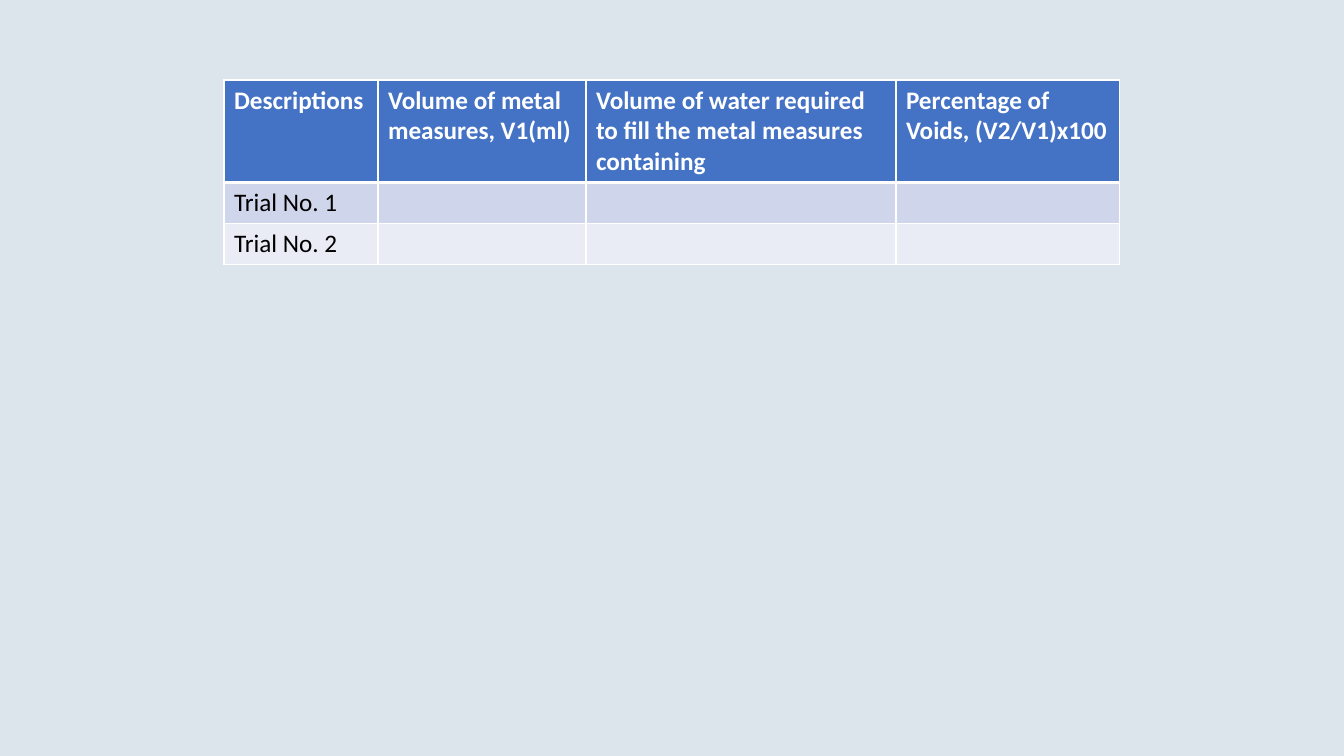
from lxml import etree
from pptx import Presentation
from pptx.dml.color import RGBColor
from pptx.oxml.ns import qn
from pptx.util import Pt

SCALE = 914400 / 100.8
FONT = "Calibri"
WHITE = RGBColor(0xFF, 0xFF, 0xFF)
BLACK = RGBColor(0x00, 0x00, 0x00)
PALE = RGBColor(0xDC, 0xE5, 0xEC)
BLUE = RGBColor(0x44, 0x72, 0xC4)
BAND = RGBColor(0xCF, 0xD5, 0xEA)
LIGHT = RGBColor(0xE9, 0xEB, 0xF5)

HEAD = {"name": FONT, "size": Pt(18), "bold": True}
BODY = {"name": FONT, "size": Pt(18), "bold": False}

TRIALS = [
    ["Descriptions", "Volume of metal measures, V1(ml)",
     "Volume of water required to fill the metal measures containing",
     "Percentage of Voids, (V2/V1)x100"],
    ["Trial No. 1", "", "", ""],
    ["Trial No. 2", "", "", ""],
]
FILLS = [BLUE, BAND, LIGHT]
WIDTHS = [154, 208, 310, 224]
HEIGHTS = [101, 41, 41]


def px(num):
    """Turn pixels into EMU."""
    return round(num * SCALE)


class Deck:
    """Hold the style and the current slide."""

    def __init__(self, width, height):
        """Start a deck with one plain slide."""
        self.file = Presentation()
        self.file.slide_width = px(width)
        self.file.slide_height = px(height)
        self.slide = self.file.slides.add_slide(self.file.slide_layouts[6])
        fill = self.slide.background.fill
        fill.solid()
        fill.fore_color.rgb = PALE

    def edge(self, cell, side, width):
        """Draw one white border of a cell."""
        props = cell._tc.get_or_add_tcPr()
        line = etree.SubElement(props, qn(f"a:ln{side}"), w=str(Pt(width)))
        solid = etree.SubElement(line, qn("a:solidFill"))
        etree.SubElement(solid, qn("a:srgbClr"), val=str(WHITE))

    def cell(self, cell, text, row):
        """Format and fill one cell."""
        for side in "LRTB":
            thick = (row, side) in ((0, "B"), (1, "T"))
            self.edge(cell, side, 3 if thick else 1)
        cell.fill.solid()
        cell.fill.fore_color.rgb = FILLS[row]
        if text:
            run = cell.text_frame.paragraphs[0].add_run()
            run.text = text
            for key, value in (BODY if row else HEAD).items():
                setattr(run.font, key, value)
            run.font.color.rgb = BLACK if row else WHITE

    def table(self, left, top, data):
        """Add the table of trials."""
        grid = self.slide.shapes.add_table(
            len(data), len(WIDTHS), px(left), px(top),
            px(sum(WIDTHS)), px(sum(HEIGHTS))).table
        for col, width in zip(grid.columns, WIDTHS):
            col.width = px(width)
        for row, height in zip(grid.rows, HEIGHTS):
            row.height = px(height)
        for row, texts in enumerate(data):
            for col, text in enumerate(texts):
                self.cell(grid.cell(row, col), text, row)


def main():
    """Build and save the slide."""
    deck = Deck(1344, 756)
    deck.table(224, 80, TRIALS)
    deck.file.save("out.pptx")


if __name__ == "__main__":
    main()
